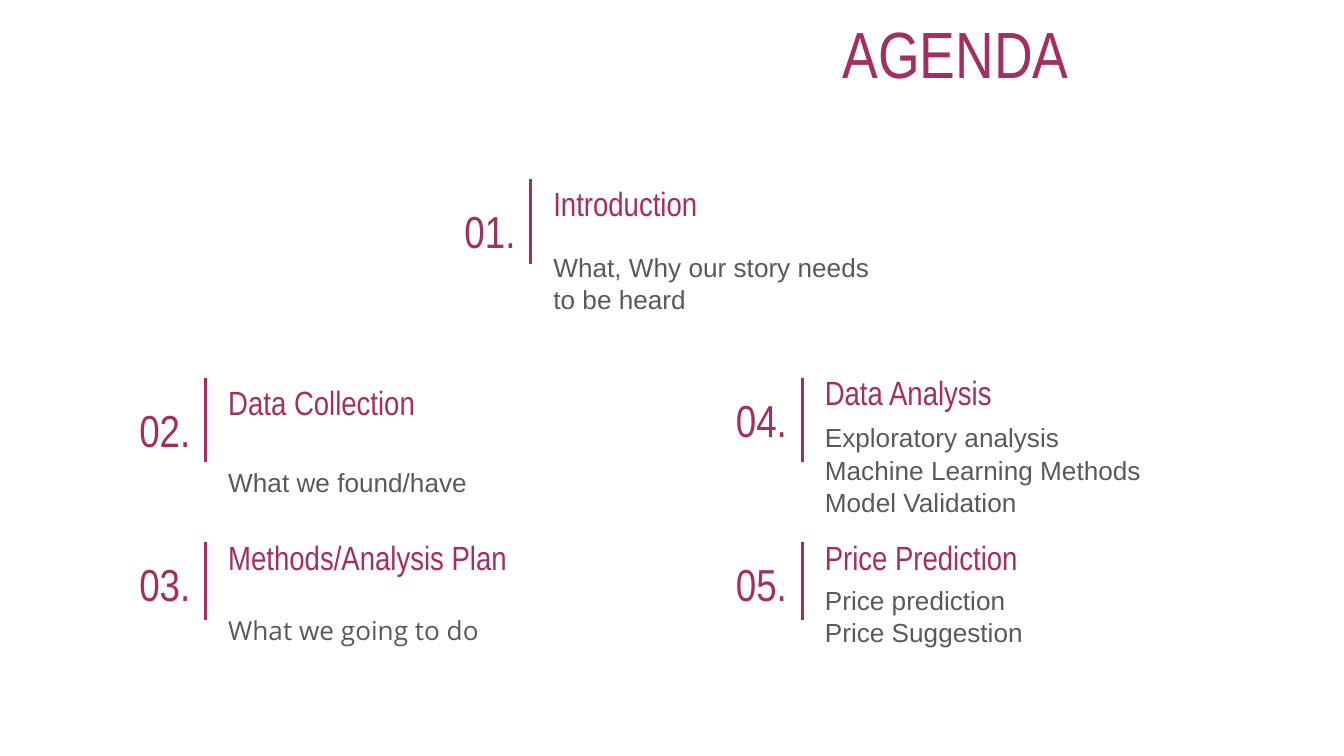
"""Build the agenda slide with five numbered sections."""
from dataclasses import dataclass

from lxml import etree
from pptx import Presentation
from pptx.dml.color import RGBColor
from pptx.enum import shapes, text
from pptx.oxml import ns
from pptx.slide import Slide
from pptx.util import Pt


@dataclass(frozen=True)
class Theme:
    accent: str = "A32E61"
    body: str = "595959"
    display_font: str = "Arial Narrow"
    body_font: str = "Arial"
    title_size: float = 35
    number_size: float = 24
    heading_size: float = 18
    detail_size: float = 14
    rule_width: float = 1.5
    inset: float = 7.2


@dataclass(frozen=True)
class Section:
    number: str
    heading: str
    details: tuple[str, ...]
    rule_x: float
    rule_y: float
    rule_height: float
    number_top: float
    detail_top: float
    detail_width: float
    detail_height: float
    detail_font: str = "Arial"


THEME = Theme()
MIDDLE_X, LEFT_X, RIGHT_X = 284.4, 110.2, 429.8
TOP_Y, CENTRE_Y, BOTTOM_Y = 95.8, 202.3, 290.2
TALL, SHORT = 45.4, 41.8

SECTIONS = (
    Section("01.", "Introduction", ("What, Why our story needs to be heard",),
            MIDDLE_X, TOP_Y, TALL, 100.8, 130.3, 194.4, 41.8),
    Section("02.", "Data Collection", ("What we found/have",),
            LEFT_X, CENTRE_Y, TALL, 207.4, 236.9, 194.4, 41.8),
    Section("03.", "Methods/Analysis Plan", ("What we going to do",),
            LEFT_X, BOTTOM_Y, SHORT, 290.2, 313.9, 223.2, 46.8, "Open Sans"),
    Section("04.", "Data Analysis",
            ("Exploratory analysis", "Machine Learning Methods", "Model Validation"),
            RIGHT_X, CENTRE_Y, TALL, 202.3, 221.8, 216.7, 59),
    Section("05.", "Price Prediction", ("Price prediction", "Price Suggestion"),
            RIGHT_X, BOTTOM_Y, SHORT, 290.2, 308.9, 207.4, 41.8),
)


def add_text(slide: Slide, lines: tuple[str, ...], left: float, top: float,
             width: float, height: float, *, size: float,
             font: str = THEME.display_font, color: str = THEME.accent,
             centred: bool = False, middle: bool = False,
             line_spacing: float = 1.0) -> None:
    """Add a wrapped text box with one paragraph per line."""
    box = slide.shapes.add_textbox(Pt(left), Pt(top), Pt(width), Pt(height))
    frame = box.text_frame
    frame.word_wrap = True
    frame.margin_left = frame.margin_right = Pt(THEME.inset)
    frame.margin_top = frame.margin_bottom = Pt(THEME.inset)
    frame.vertical_anchor = text.MSO_ANCHOR.MIDDLE if middle else text.MSO_ANCHOR.TOP
    frame.text = "\n".join(lines)
    for paragraph in frame.paragraphs:
        paragraph.alignment = text.PP_ALIGN.CENTER if centred else text.PP_ALIGN.LEFT
        paragraph.line_spacing = line_spacing
        for run in paragraph.runs:
            run.font.name = font
            run.font.size = Pt(size)
            run.font.color.rgb = RGBColor.from_string(color)


def add_rule(slide: Slide, x: float, y: float, height: float) -> None:
    """Draw a vertical accent line without a shadow."""
    rule = slide.shapes.add_connector(
        shapes.MSO_CONNECTOR.STRAIGHT, Pt(x), Pt(y), Pt(x), Pt(y + height))
    rule.line.color.rgb = RGBColor.from_string(THEME.accent)
    rule.line.width = Pt(THEME.rule_width)
    etree.SubElement(rule._element.spPr, ns.qn("a:effectLst"))


def add_section(slide: Slide, section: Section) -> None:
    """Draw a section's number, rule, heading and details."""
    text_left = section.rule_x + 5
    add_text(slide, (section.number,), section.rule_x - 48.2, section.number_top,
             52.6, 45.4, size=THEME.number_size, centred=True, middle=True)
    add_rule(slide, section.rule_x, section.rule_y, section.rule_height)
    add_text(slide, (section.heading,), text_left, section.number_top - 10,
             199.4, 35.3, size=THEME.heading_size)
    add_text(slide, section.details, text_left, section.detail_top,
             section.detail_width, section.detail_height, size=THEME.detail_size,
             font=section.detail_font, color=THEME.body, middle=True,
             line_spacing=1.04)


def main() -> None:
    """Assemble and save the presentation."""
    deck = Presentation()
    deck.slide_width, deck.slide_height = Pt(720), Pt(405)
    agenda = deck.slides.add_slide(deck.slide_layouts[6])
    add_text(agenda, ("AGENDA",), 360, 0, 303.8, 66.2,
             size=THEME.title_size, centred=True)
    for section in SECTIONS:
        add_section(agenda, section)
    deck.save("out.pptx")


main()
